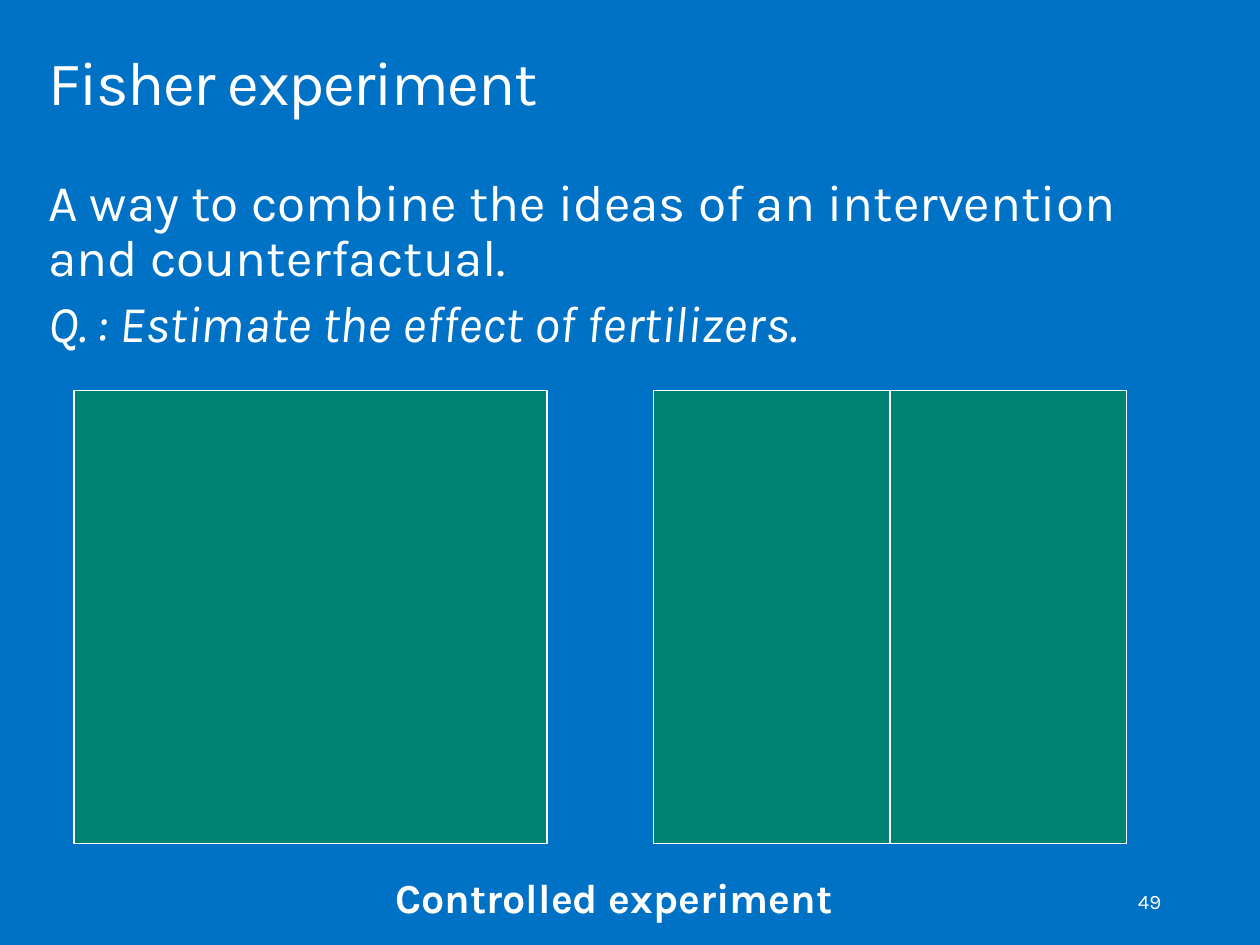
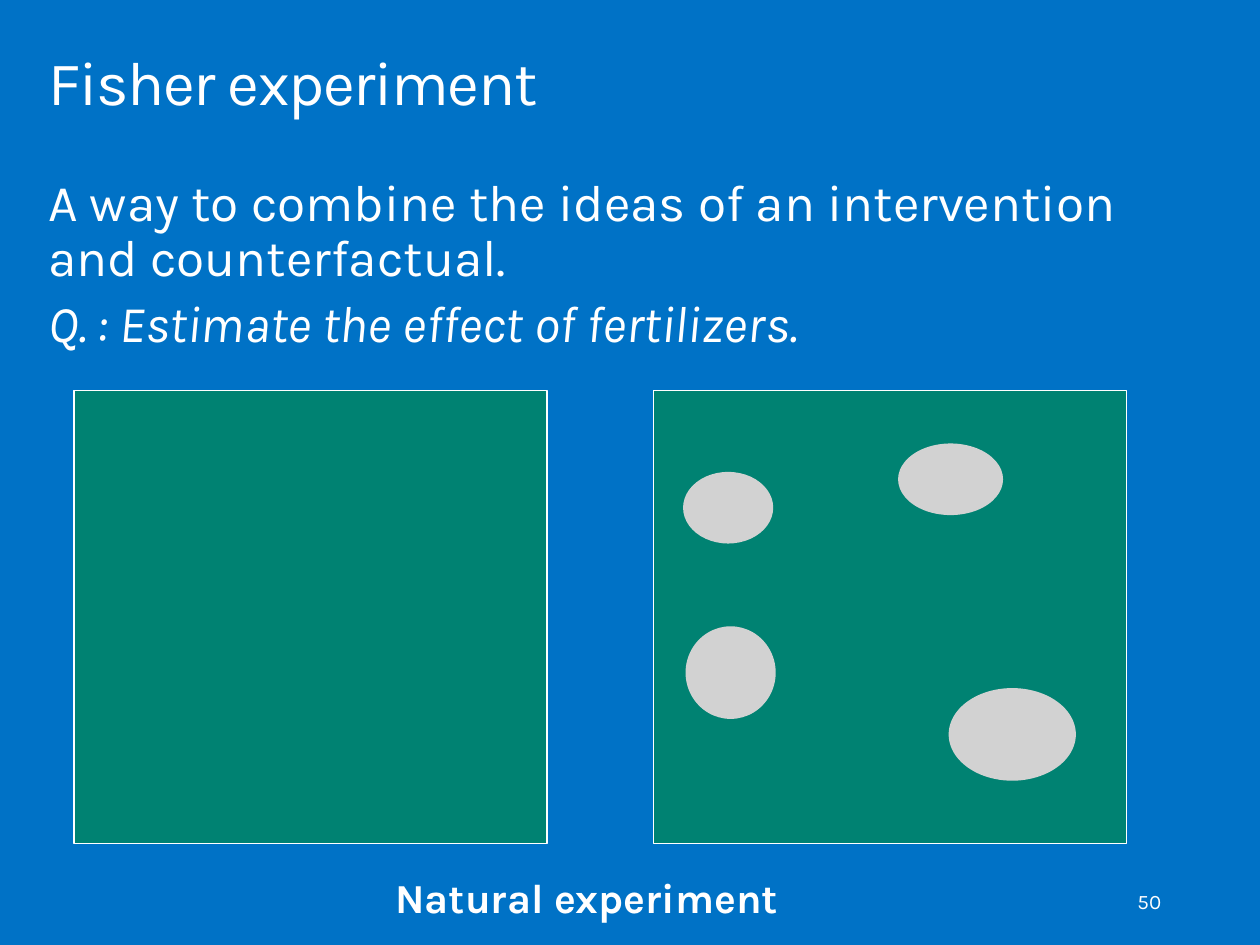
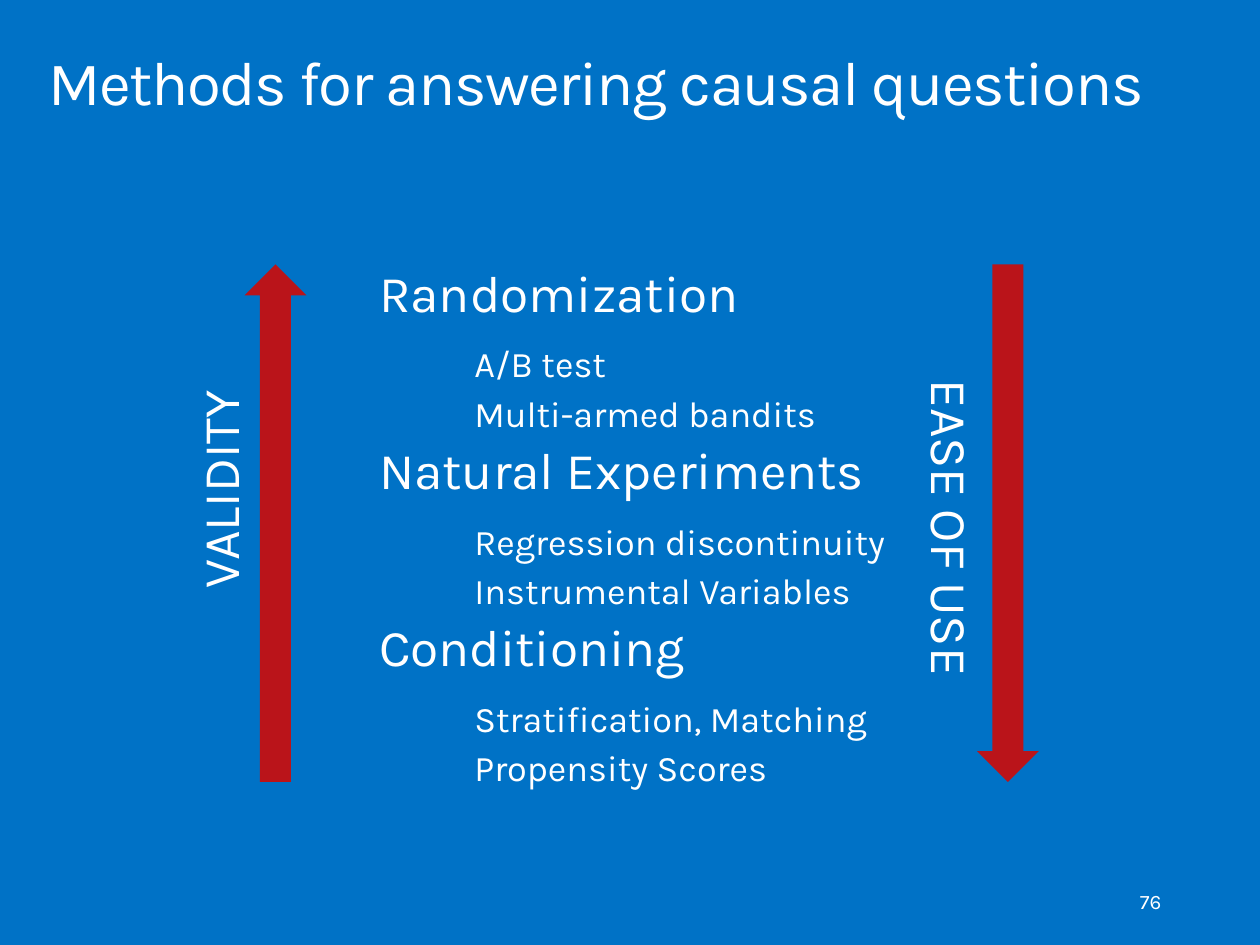
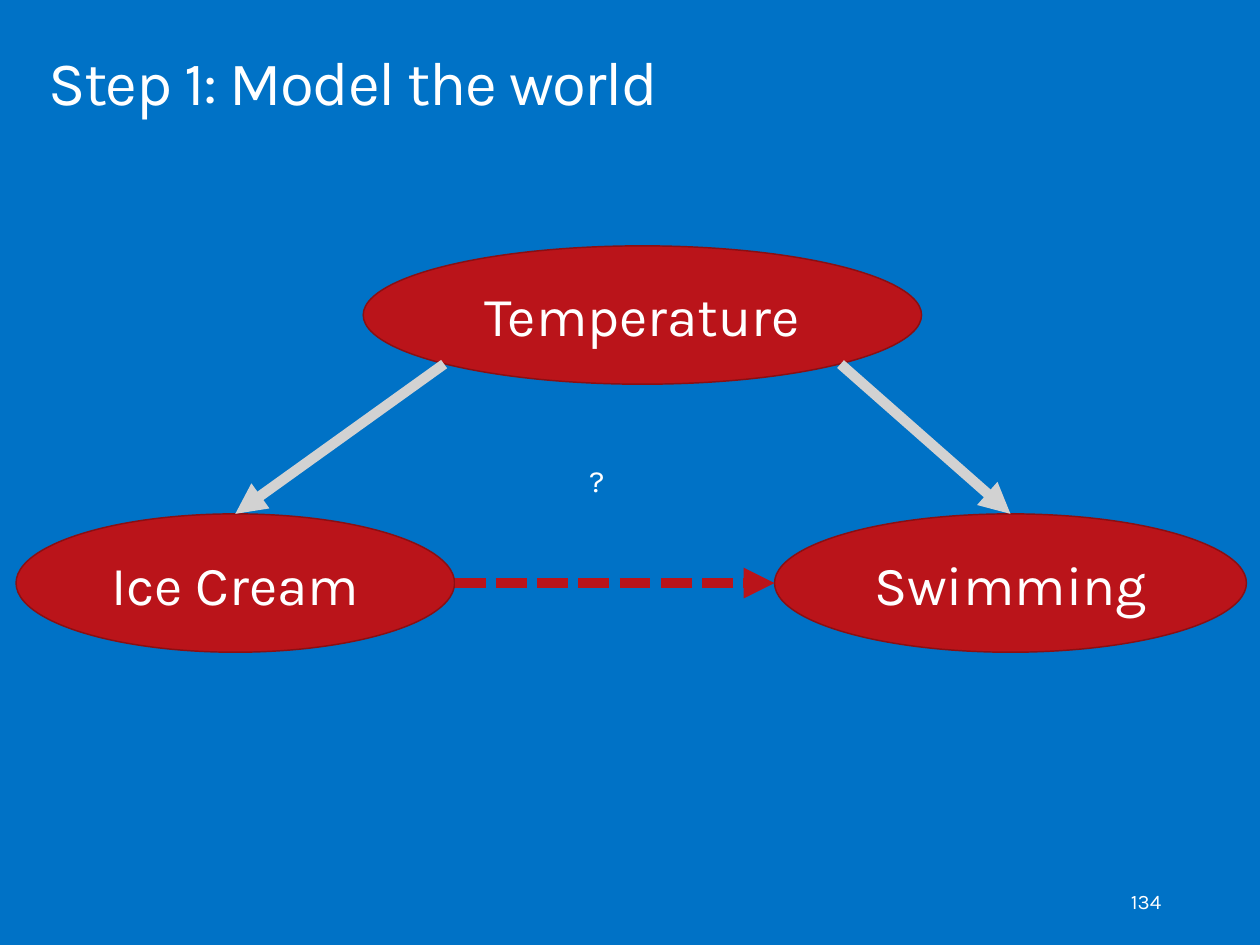
from dataclasses import dataclass

from pptx import Presentation
from pptx.dml.color import RGBColor
from pptx.enum import dml, shapes, text
from pptx.oxml import ns, xmlchemy
from pptx.util import Inches, Pt


@dataclass(frozen=True)
class Theme:
    font: str = "Karla"
    # Colours
    background: str = "0072C6"
    white: str = "FFFFFF"
    green: str = "008272"
    red: str = "BA141A"
    dark_red: str = "8A0F13"
    grey: str = "D2D2D2"
    # Type sizes
    title: int = 36
    node: int = 32
    body: int = 30
    caption: int = 24
    method: int = 21
    question: int = 18
    number: int = 12
    # Spacing
    tight: float = 0.9
    gap: int = 6


THEME = Theme()
LAYOUT_CONTENT, LAYOUT_TITLE_ONLY = 1, 5

TITLE_BOX = (0.23, 0.32, 9.75, 1)
NUMBER_BOX = (7.2, 7.09, 2.3, 0.41)

# Fields of the Fisher experiment
FIELD_LEFTS = (0.6, 5.29)
FIELD_TOP, FIELD_WIDTH, FIELD_HEIGHT = 3.16, 3.83, 3.67
NATURAL_PATCHES = (
    (5.53, 3.82, 0.73, 0.58),
    (7.68, 5.57, 1.03, 0.75),
    (5.55, 5.07, 0.73, 0.75),
    (7.27, 3.59, 0.85, 0.58),
)

METHODS = (
    ("Randomization", ("A/B test", "Multi-armed bandits")),
    ("Natural Experiments", ("Regression discontinuity", "Instrumental Variables")),
    ("Conditioning", ("Stratification, Matching", "Propensity Scores")),
)


# Text
def rgb(colour):
    return RGBColor.from_string(colour)


def inches(*lengths):
    return [Inches(length) for length in lengths]


def style_para(para, size, bold=False, italic=False, spacing=None, before=0, after=0):
    para.space_before, para.space_after = Pt(before), Pt(after)
    if spacing:
        para.line_spacing = spacing
    for span in para.runs:
        font = span.font
        font.name, font.size = THEME.font, Pt(size)
        font.bold, font.italic = bold, italic
        font.color.rgb = rgb(THEME.white)


def set_frame(frame, side, edge, anchor=text.MSO_ANCHOR.TOP, wrap=True):
    frame.word_wrap = wrap
    frame.auto_size = text.MSO_AUTO_SIZE.NONE
    frame.vertical_anchor = anchor
    frame.margin_left = frame.margin_right = Inches(side)
    frame.margin_top = frame.margin_bottom = Inches(edge)


def place(shape, bounds):
    shape.left, shape.top, shape.width, shape.height = inches(*bounds)


def add_label(page, bounds, words, size, margins=(0.1, 0.05),
              anchor=text.MSO_ANCHOR.TOP, wrap=True, **style):
    box = page.shapes.add_textbox(*inches(*bounds))
    frame = box.text_frame
    set_frame(frame, *margins, anchor, wrap)
    frame.text = words
    style_para(frame.paragraphs[0], size, **style)
    return box


def add_vertical_label(page, bounds, words, rotation=0):
    box = add_label(page, bounds, words, THEME.body, (0.15, 0.12),
                    wrap=False, spacing=THEME.tight, after=4.5)
    box.text_frame._txBody.bodyPr.set("vert", "eaVert")
    box.rotation = rotation


def fill_body(page, bounds, items):
    """Each item is (words, indent in inches, paragraph style)."""
    body = page.placeholders[1]
    place(body, bounds)
    frame = body.text_frame
    set_frame(frame, 0.16, 0.1)
    frame.text = "\n".join(words for words, _, _ in items)
    for para, (_, indent, style) in zip(frame.paragraphs, items):
        props = para._p.get_or_add_pPr()
        props.set("marL", str(Inches(indent)))
        props.set("indent", "0")
        props.append(xmlchemy.OxmlElement("a:buNone"))
        style_para(para, spacing=THEME.tight, **style)


# Shapes and lines
def add_figure(page, kind, bounds, fill, line=None, width=0.75):
    figure = page.shapes.add_shape(kind, *inches(*bounds))
    figure.shadow.inherit = False
    figure.fill.solid()
    figure.fill.fore_color.rgb = rgb(fill)
    if line:
        figure.line.color.rgb = rgb(line)
        figure.line.width = Pt(width)
    else:
        figure.line.fill.background()
    return figure


def add_node(page, bounds, words):
    node = add_figure(page, shapes.MSO_SHAPE.OVAL, bounds, THEME.red, THEME.dark_red, 0.85)
    set_frame(node.text_frame, 0, 0.05, text.MSO_ANCHOR.MIDDLE)
    node.text_frame.text = words
    para = node.text_frame.paragraphs[0]
    para.alignment = text.PP_ALIGN.CENTER
    style_para(para, THEME.node)


def add_line(page, start, end, colour, width, arrow=False, dashed=False):
    line = page.shapes.add_connector(shapes.MSO_CONNECTOR.STRAIGHT, *inches(*start, *end))
    line.line.color.rgb = rgb(colour)
    line.line.width = Pt(width)
    if dashed:
        line.line.dash_style = dml.MSO_LINE.SQUARE_DOT
    props = line._element.spPr
    if arrow:
        head = xmlchemy.OxmlElement("a:tailEnd")
        head.set("type", "triangle")
        props.find(ns.qn("a:ln")).append(head)
    props.append(xmlchemy.OxmlElement("a:effectLst"))


def on_oval(bounds, across, down):
    """Point of an oval, given in half widths and half heights from its centre."""
    left, top, width, height = bounds
    return left + width / 2 * (1 + across), top + height / 2 * (1 + down)


# Pages
def add_page(deck, layout, title, number):
    page = deck.slides.add_slide(deck.slide_layouts[layout])
    heading = page.shapes.title
    place(heading, TITLE_BOX)
    set_frame(heading.text_frame, 0.16, 0.1)
    heading.text_frame.text = title
    para = heading.text_frame.paragraphs[0]
    para.alignment = text.PP_ALIGN.LEFT
    style_para(para, THEME.title, spacing=THEME.tight)
    para.runs[0]._r.get_or_add_rPr().set("spc", "-80")

    footer = add_label(page, NUMBER_BOX, str(number), THEME.number,
                       anchor=text.MSO_ANCHOR.MIDDLE)
    footer.text_frame.paragraphs[0].alignment = text.PP_ALIGN.RIGHT
    return page


def add_fisher_page(deck, number, caption):
    page = add_page(deck, LAYOUT_CONTENT, "Fisher experiment", number)
    fill_body(page, (0.23, 1.33, 9.75, 1.67), (
        ("A way to combine the ideas of an intervention and counterfactual.", 0,
         dict(size=THEME.body)),
        ("Q. : Estimate the effect of fertilizers.", 0,
         dict(size=THEME.body, italic=True, before=THEME.gap)),
    ))
    for left in FIELD_LEFTS:
        add_figure(page, shapes.MSO_SHAPE.RECTANGLE,
                   (left, FIELD_TOP, FIELD_WIDTH, FIELD_HEIGHT), THEME.green, THEME.white)
    add_label(page, (3, 6.95, 5.1, 0.69), caption, THEME.caption, (0.2, 0.16),
              bold=True, spacing=THEME.tight, after=THEME.gap)
    return page


def add_controlled_page(deck):
    page = add_fisher_page(deck, 49, "Controlled experiment")
    middle = FIELD_LEFTS[1] + FIELD_WIDTH / 2
    add_line(page, (middle, FIELD_TOP), (middle, FIELD_TOP + FIELD_HEIGHT), THEME.white, 0.75)


def add_natural_page(deck):
    page = add_fisher_page(deck, 50, "Natural experiment")
    for bounds in NATURAL_PATCHES:
        add_figure(page, shapes.MSO_SHAPE.OVAL, bounds, THEME.grey)


def add_methods_page(deck):
    page = add_page(deck, LAYOUT_CONTENT, "Methods for answering causal questions", 76)
    items = []
    for family, methods in METHODS:
        items.append((family, 0, dict(size=THEME.body, before=THEME.gap if items else 0)))
        for index, method in enumerate(methods):
            before = THEME.gap if index else 13.5
            items.append((method, 0.77, dict(size=THEME.method, before=before)))
    fill_body(page, (2.91, 2.07, 4.69, 4.6), items)

    for kind, left in ((shapes.MSO_SHAPE.DOWN_ARROW, 7.91), (shapes.MSO_SHAPE.UP_ARROW, 1.98)):
        add_figure(page, kind, (left, 2.14, 0.5, 4.19), THEME.red)
    add_vertical_label(page, (7.29, 2.95, 0.76, 2.64), "EASE OF USE")
    add_vertical_label(page, (1.43, 2.95, 0.76, 1.93), "VALIDITY", rotation=180)


def add_model_page(deck):
    page = add_page(deck, LAYOUT_TITLE_ONLY, "Step 1: Model the world", 134)
    ice_cream = (0.13, 4.16, 3.55, 1.12)
    temperature = (2.94, 1.99, 4.52, 1.12)
    swimming = (6.27, 4.16, 3.82, 1.12)
    for bounds, words in ((ice_cream, "Ice Cream"), (temperature, "Temperature"),
                          (swimming, "Swimming")):
        add_node(page, bounds, words)

    # Causes, from the lower diagonals of the top oval
    add_line(page, on_oval(ice_cream, 1, 0), on_oval(swimming, -1, 0),
             THEME.red, 6, arrow=True, dashed=True)
    for effect, across in ((ice_cream, -0.71), (swimming, 0.71)):
        add_line(page, on_oval(temperature, across, 0.71), on_oval(effect, 0, -1),
                 THEME.grey, 6, arrow=True)
    add_label(page, (4.67, 3.69, 0.94, 1.12), "?", THEME.question)


def main():
    deck = Presentation()
    deck.slide_width, deck.slide_height = inches(10.2, 7.65)
    backdrop = deck.slide_master.background.fill
    backdrop.solid()
    backdrop.fore_color.rgb = rgb(THEME.background)

    add_controlled_page(deck)
    add_natural_page(deck)
    add_methods_page(deck)
    add_model_page(deck)
    deck.save("out.pptx")


if __name__ == "__main__":
    main()
